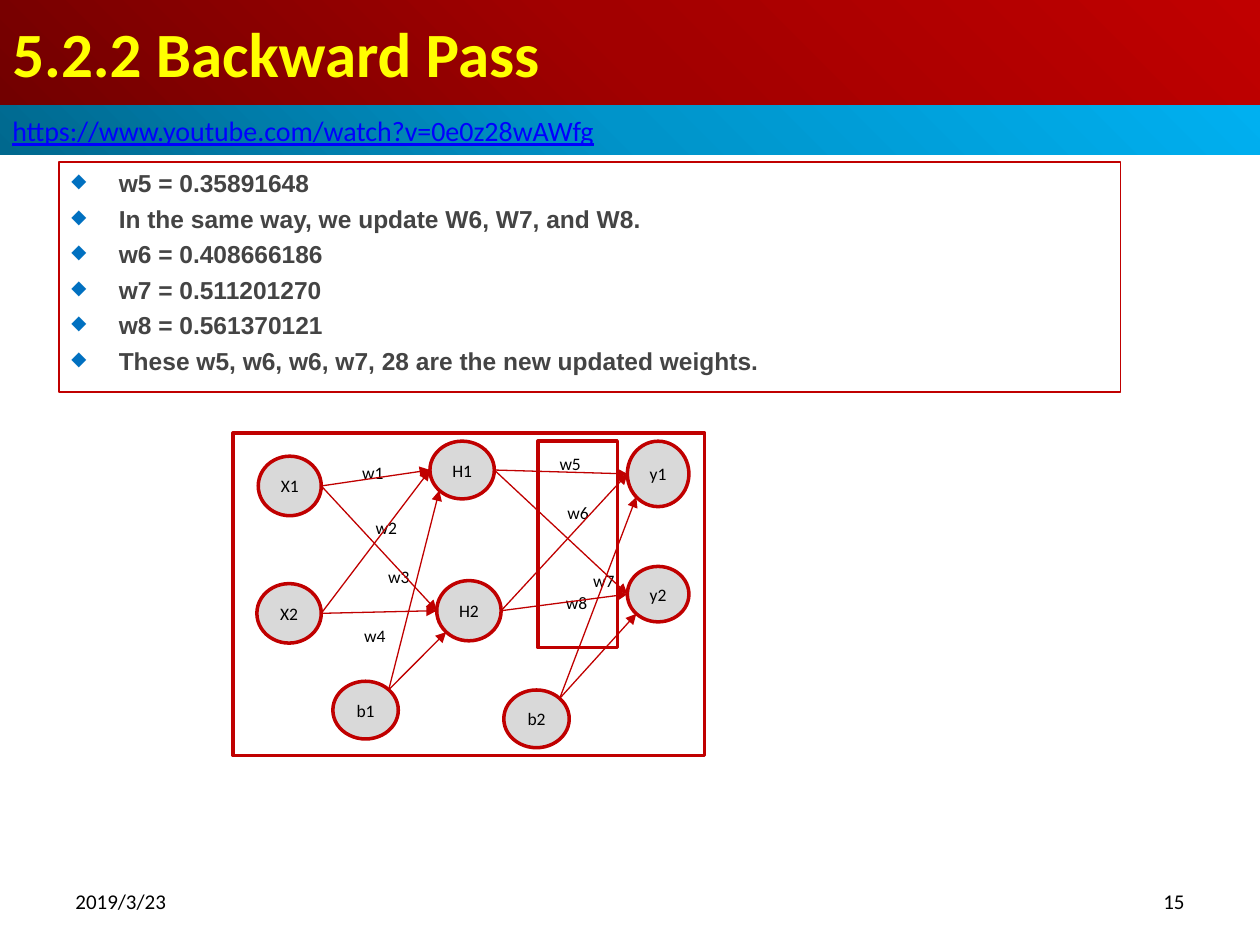
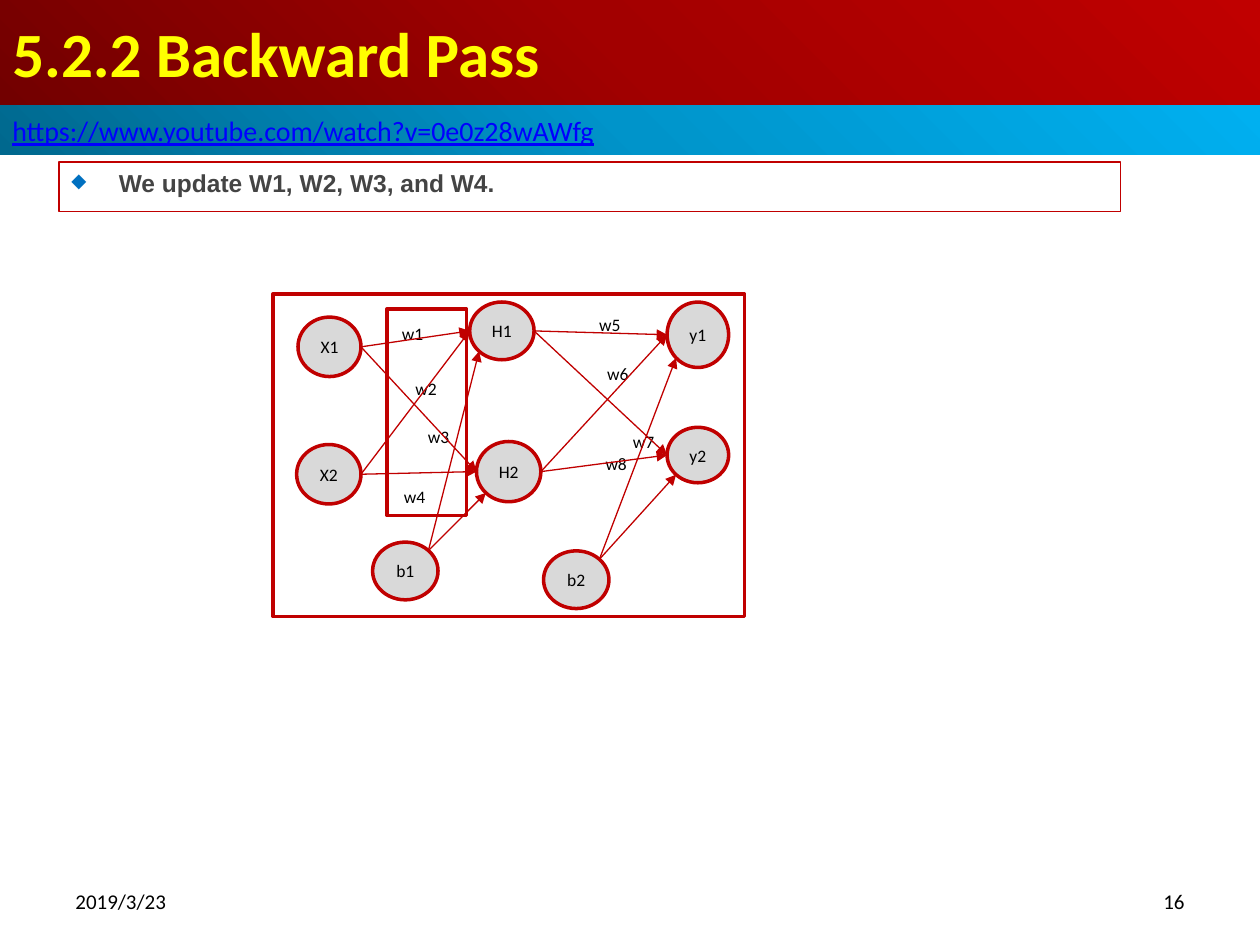
from dataclasses import dataclass
from math import sqrt

import pptx
import pptx.dml.color
import pptx.enum.shapes
import pptx.enum.text
import pptx.oxml.ns
import pptx.util
from lxml import etree

Pt = pptx.util.Pt
qn = pptx.oxml.ns.qn
SHAPE = pptx.enum.shapes.MSO_SHAPE
ALIGN = pptx.enum.text.PP_ALIGN
ANCHOR = pptx.enum.text.MSO_ANCHOR

COLORS = {
    "title": "FFFF00", "link": "0000FF", "body": "444444", "black": "000000",
    "white": "FFFFFF", "node": "D9D9D9", "red": "C00000", "bullet": "0070C0",
}
RED_BAND = ("720000", "A20000", "C00000")
BLUE_BAND = ("00688E", "0094CA", "00B0F0")
SLIDE_WIDTH, SLIDE_HEIGHT = 720, 540
DIAGONAL = sqrt(0.5)


@dataclass(frozen=True)
class Box:
    """A rectangle in points."""
    left: float
    top: float
    width: float
    height: float

    def shifted(self, dx: float, dy: float) -> "Box":
        return Box(self.left + dx, self.top + dy, self.width, self.height)

    def at(self, across: float, down: float) -> tuple[float, float]:
        """Point on the inscribed ellipse; -1 to 1 from the centre."""
        return (self.left + self.width * (1 + across) / 2,
                self.top + self.height * (1 + down) / 2)

    def emu(self) -> list:
        return [Pt(v) for v in (self.left, self.top, self.width, self.height)]


@dataclass(frozen=True)
class TextStyle:
    size: float
    color: str
    font: str = "Calibri"
    bold: bool = False
    underline: bool = False
    align: ALIGN = ALIGN.LEFT


@dataclass(frozen=True)
class Label:
    text: str
    center_x: float
    center_y: float
    height: float


@dataclass(frozen=True)
class WeightSlide:
    number: int
    bullets: list[str]
    bullets_height: float
    network_origin: tuple[float, float]
    highlight_offset: tuple[float, float]


TITLE = TextStyle(36, "title", bold=True)
LINK = TextStyle(16, "link", underline=True)
BODY = TextStyle(14, "body", font="Arial", bold=True)
DATE = TextStyle(12, "black")
PAGE = TextStyle(12, "black", align=ALIGN.RIGHT)
SMALL = TextStyle(10, "black", align=ALIGN.CENTER)

# Network, measured from the top left corner of its frame
NETWORK_SIZE = (269.5, 184.3)
HIGHLIGHT_SIZE = (45.4, 118)
NODES = {
    "X1": Box(14.4, 13.2, 36, 34),
    "X2": Box(13.6, 86, 36.8, 34),
    "H1": Box(112.5, 4.6, 36.8, 33),
    "H2": Box(116.4, 84.3, 36.8, 34.4),
    "b1": Box(57, 141.8, 37.4, 33),
    "b2": Box(154.7, 146.8, 37.4, 33),
    "y1": Box(225.3, 4.6, 35.2, 37.4),
    "y2": Box(225.3, 76.2, 35.2, 31.7),
}
WEIGHTS = [
    Label("w1", 79.8, 22.7, 14), Label("w2", 87.5, 53.8, 14),
    Label("w3", 94.7, 81.7, 14), Label("w4", 81, 115.6, 14),
    Label("w5", 192.6, 17.3, 20), Label("w6", 197.1, 45.6, 20),
    Label("w7", 211.8, 84.4, 20), Label("w8", 196.2, 97, 20),
]
LAYER_LINKS = [(a, b) for sources, targets in (("X1 X2", "H1 H2"), ("H1 H2", "y1 y2"))
               for a in sources.split() for b in targets.split()]
BIAS_LINKS = [("b1", "H1"), ("b1", "H2"), ("b2", "y1"), ("b2", "y2")]

SLIDES = [
    WeightSlide(15, [
        "w5 = 0.35891648",
        "In the same way, we update W6, W7, and W8.",
        "w6 = 0.408666186",
        "w7 = 0.511201270",
        "w8 = 0.561370121",
        "These w5, w6, w6, w7, 28 are the new updated weights.",
    ], 131.5, (133.2, 247.5), (174.2, 4.6)),
    WeightSlide(16, ["We update W1, W2, W3, and W4."], 28.4, (155.9, 168), (65.3, 8.6)),
]


def rgb(name: str) -> pptx.dml.color.RGBColor:
    return pptx.dml.color.RGBColor.from_string(COLORS[name])


def style_paragraph(paragraph, text: str, style: TextStyle) -> None:
    paragraph.text = text
    paragraph.alignment = style.align
    font = paragraph.font
    font.name, font.size = style.font, Pt(style.size)
    font.bold, font.underline = style.bold, style.underline
    font.color.rgb = rgb(style.color)


def write(shape, text: str, style: TextStyle, margin: float = 7.2) -> None:
    frame = shape.text_frame
    frame.word_wrap = True
    frame.vertical_anchor = ANCHOR.MIDDLE
    frame.margin_left = frame.margin_right = Pt(margin)
    frame.margin_top = frame.margin_bottom = Pt(margin / 2)
    style_paragraph(frame.paragraphs[0], text, style)


def add_text(slide, box: Box, text: str, style: TextStyle, margin: float = 7.2) -> None:
    write(slide.shapes.add_textbox(*box.emu()), text, style, margin)


def add_outlined(slide, kind: SHAPE, box: Box, width: float, fill: str | None = None):
    shape = slide.shapes.add_shape(kind, *box.emu())
    shape.shadow.inherit = False
    if fill:
        shape.fill.solid()
        shape.fill.fore_color.rgb = rgb(fill)
    else:
        shape.fill.background()
    shape.line.color.rgb = rgb("red")
    shape.line.width = Pt(width)
    return shape


def add_band(slide, box: Box, stops: tuple[str, ...], text: str, style: TextStyle) -> None:
    band = slide.shapes.add_shape(SHAPE.RECTANGLE, *box.emu())
    band.shadow.inherit = False
    band.line.fill.background()
    band.fill.gradient()
    # Radial gradient that starts in the bottom left corner
    gradient = band._element.spPr.find(qn("a:gradFill"))
    gradient.clear()
    stop_list = etree.SubElement(gradient, qn("a:gsLst"))
    for position, color in zip((0, 50000, 100000), stops):
        stop = etree.SubElement(stop_list, qn("a:gs"), pos=str(position))
        etree.SubElement(stop, qn("a:srgbClr"), val=color)
    circle = etree.SubElement(gradient, qn("a:path"), path="circle")
    etree.SubElement(circle, qn("a:fillToRect"), t="100000", r="100000")
    write(band, text, style)


def add_bullets(slide, box: Box, bullets: list[str]) -> None:
    frame = add_outlined(slide, SHAPE.RECTANGLE, box, 0.75).text_frame
    frame.word_wrap = True
    frame.vertical_anchor = ANCHOR.TOP
    for index, text in enumerate(bullets):
        paragraph = frame.add_paragraph() if index else frame.paragraphs[0]
        if index:
            paragraph.space_before = Pt(3.5)
        properties = paragraph._p.get_or_add_pPr()
        properties.set("marL", str(Pt(27)))
        properties.set("indent", str(-Pt(27)))
        color = etree.SubElement(properties, qn("a:buClr"))
        etree.SubElement(color, qn("a:srgbClr"), val=COLORS["bullet"])
        etree.SubElement(properties, qn("a:buSzPct"), val="80000")
        etree.SubElement(properties, qn("a:buChar"), char="◆")
        style_paragraph(paragraph, text, BODY)


def add_arrow(slide, start: tuple[float, float], end: tuple[float, float]) -> None:
    arrow = slide.shapes.add_connector(
        pptx.enum.shapes.MSO_CONNECTOR.STRAIGHT, *(Pt(v) for v in start + end))
    arrow.line.color.rgb = rgb("red")
    arrow.line.width = Pt(0.75)
    etree.SubElement(arrow.line._get_or_add_ln(), qn("a:tailEnd"), type="triangle")
    etree.SubElement(arrow._element.spPr, qn("a:effectLst"))


def add_network(slide, origin: tuple[float, float], highlight: tuple[float, float]) -> None:
    add_outlined(slide, SHAPE.RECTANGLE, Box(*origin, *NETWORK_SIZE), 2, "white")
    nodes = {name: box.shifted(*origin) for name, box in NODES.items()}
    for name, box in nodes.items():
        write(add_outlined(slide, SHAPE.OVAL, box, 2, "node"), name, SMALL, margin=0)
    for weight in WEIGHTS:
        box = Box(weight.center_x - 15.5, weight.center_y - weight.height / 2,
                  31, weight.height)
        add_text(slide, box.shifted(*origin), weight.text, SMALL, margin=0)
    for source, target in LAYER_LINKS:
        add_arrow(slide, nodes[source].at(1, 0), nodes[target].at(-1, 0))
    for source, target in BIAS_LINKS:
        add_arrow(slide, nodes[source].at(DIAGONAL, -DIAGONAL),
                  nodes[target].at(-DIAGONAL, DIAGONAL))
    # Frame around the weights being updated
    add_outlined(slide, SHAPE.RECTANGLE,
                 Box(*highlight, *HIGHLIGHT_SIZE).shifted(*origin), 2)


def build_slide(deck, content: WeightSlide) -> None:
    slide = deck.slides.add_slide(deck.slide_layouts[6])
    # Header bands
    add_band(slide, Box(0, 0, SLIDE_WIDTH, 60.2), RED_BAND, "5.2.2 Backward Pass", TITLE)
    add_band(slide, Box(0, 60.2, SLIDE_WIDTH, 28.4), BLUE_BAND,
             "https://www.youtube.com/watch?v=0e0z28wAWfg", LINK)
    # Body
    add_bullets(slide, Box(33.8, 92.6, 606.6, content.bullets_height), content.bullets)
    add_network(slide, content.network_origin, content.highlight_offset)
    # Footer
    add_text(slide, Box(36, 500.5, 168, 28.8), "2019/3/23", DATE)
    add_text(slide, Box(516, 500.5, 168, 28.8), str(content.number), PAGE)


def main() -> None:
    deck = pptx.Presentation()
    deck.slide_width, deck.slide_height = Pt(SLIDE_WIDTH), Pt(SLIDE_HEIGHT)
    for content in SLIDES:
        build_slide(deck, content)
    deck.save("out.pptx")


if __name__ == "__main__":
    main()
